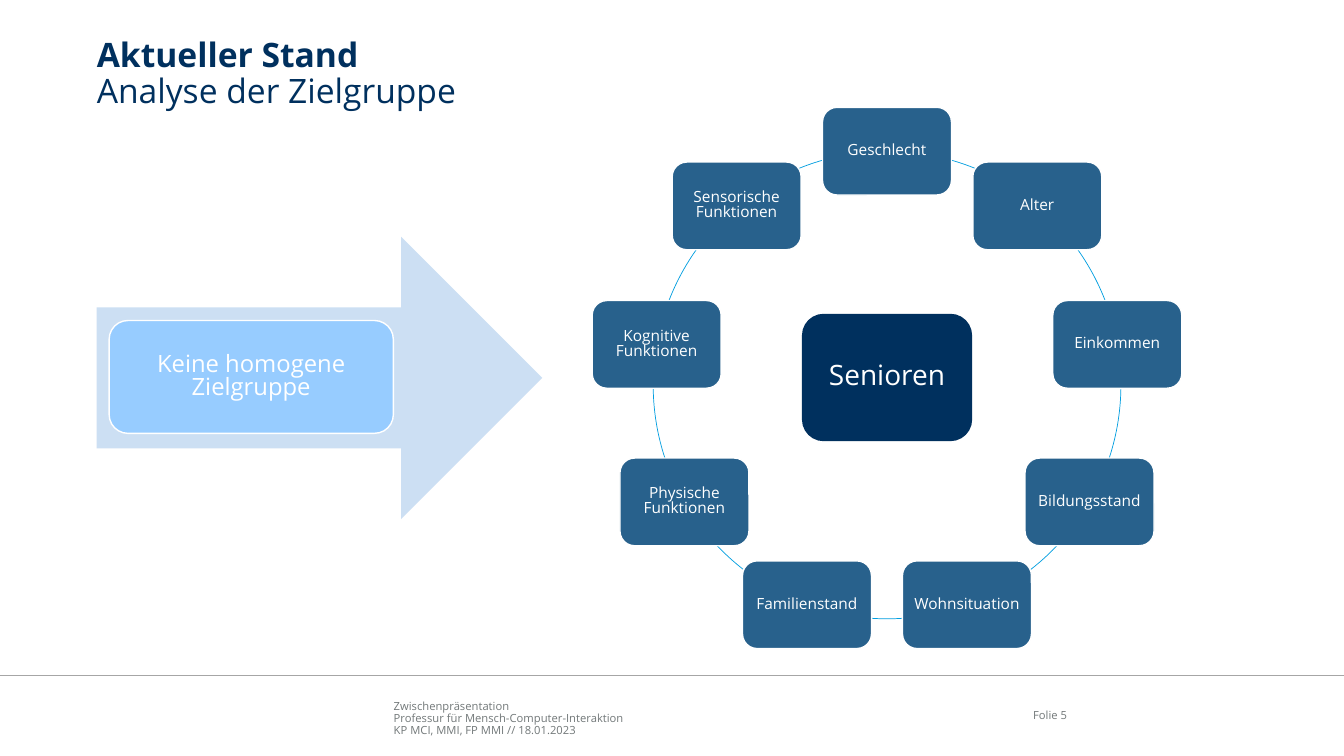
import dataclasses
import math
import typing

import lxml.etree
import pptx
import pptx.dml.color
import pptx.enum.shapes
import pptx.enum.text
import pptx.oxml.ns
import pptx.shapes.autoshape
import pptx.slide
import pptx.text.text
import pptx.util

RGBColor = pptx.dml.color.RGBColor
NAVY = RGBColor(0x00, 0x30, 0x5E)
BLUE = RGBColor(0x28, 0x61, 0x8C)
CYAN = RGBColor(0x00, 0x9E, 0xE0)
SKY = RGBColor(0x97, 0xCC, 0xFF)
PALE = RGBColor(0xCC, 0xDF, 0xF3)
GREY = RGBColor(0x72, 0x78, 0x79)
RULE = RGBColor(0xA6, 0xA6, 0xA6)
WHITE = RGBColor(0xFF, 0xFF, 0xFF)

FONT = "Open Sans"
WIDTH = pptx.util.Inches(13.33)
HEIGHT = pptx.util.Inches(7.5)
COL = WIDTH / 100
ROW = HEIGHT / 100

Kind = pptx.enum.shapes.MSO_SHAPE
Align = pptx.enum.text.PP_ALIGN
Anchor = pptx.enum.text.MSO_ANCHOR


@dataclasses.dataclass(frozen=True)
class Box:
    """A place on the grid of 100 columns and 100 rows."""
    left: float
    top: float
    width: float
    height: float

    def place(self) -> tuple[int, int, int, int]:
        return (round(self.left * COL), round(self.top * ROW),
                round(self.width * COL), round(self.height * ROW))


@dataclasses.dataclass(frozen=True)
class Block:
    box: Box
    kind: Kind
    fill: typing.Optional[RGBColor] = None
    line: typing.Optional[RGBColor] = None
    weight: float = 1
    text: str = ""
    size: float = 11


TITLE = Box(7.2, 5.07, 86.8, 10)
FOOTER = Box(29.3, 92.13, 42.5, 5.33)
NUMBER = Box(73.6, 92, 5.8, 5.33)
RULE_ROW = 89.33

MID_COL, MID_ROW = 66, 50.93
RING_COLS, RING_ROWS = 17.4, 30.93
TRAITS = (
    "Geschlecht", "Alter", "Einkommen", "Bildungsstand", "Wohnsituation",
    "Familienstand", "Physische Funktionen", "Kognitive Funktionen",
    "Sensorische Funktionen",
)
NOTES = (
    "Zwischenpräsentation",
    "Professur für Mensch-Computer-Interaktion",
    "KP MCI, MMI, FP MMI // 18.01.2023",
)


def write(para: pptx.text.text._Paragraph, text: str, *, size: float,
          color: RGBColor, bold: bool = False, align: Align = Align.LEFT,
          space: float = 0.9) -> None:
    para.alignment = align
    para.line_spacing = space
    run = para.add_run()
    run.text = text
    run.font.name = FONT
    run.font.size = pptx.util.Pt(size)
    run.font.bold = bold
    run.font.color.rgb = color


def set_frame(frame: pptx.text.text.TextFrame, anchor: Anchor,
              inset: float = 0) -> None:
    frame.word_wrap = True
    frame.auto_size = pptx.enum.text.MSO_AUTO_SIZE.NONE
    frame.vertical_anchor = anchor
    gap = pptx.util.Inches(inset)
    frame.margin_left = frame.margin_right = gap
    frame.margin_top = frame.margin_bottom = gap


def add_block(slide: pptx.slide.Slide, block: Block) -> None:
    shape = slide.shapes.add_shape(block.kind, *block.box.place())
    shape.shadow.inherit = False
    if block.fill is None:
        shape.fill.background()
    else:
        shape.fill.solid()
        shape.fill.fore_color.rgb = block.fill
    if block.line is None:
        shape.line.fill.background()
    else:
        shape.line.color.rgb = block.line
        shape.line.width = pptx.util.Pt(block.weight)
    if block.text:
        set_frame(shape.text_frame, Anchor.MIDDLE, 0.05)
        write(shape.text_frame.paragraphs[0], block.text, size=block.size,
              color=WHITE, align=Align.CENTER, space=0.8)


def ring_box(turn: float, width: float, height: float) -> Box:
    """Centre a box on the ring, a share of a turn clockwise from the top."""
    angle = math.tau * turn
    return Box(MID_COL + RING_COLS * math.sin(angle) - width / 2,
               MID_ROW - RING_ROWS * math.cos(angle) - height / 2,
               width, height)


def add_ring(slide: pptx.slide.Slide) -> None:
    ring = Box(MID_COL - RING_COLS, MID_ROW - RING_ROWS,
               2 * RING_COLS, 2 * RING_ROWS)
    add_block(slide, Block(ring, Kind.OVAL, line=CYAN, weight=0.5))
    for index, trait in enumerate(TRAITS):
        box = ring_box(index / len(TRAITS), 9.6, 11.6)
        add_block(slide, Block(box, Kind.ROUNDED_RECTANGLE, BLUE, WHITE,
                               text=trait))
    add_block(slide, Block(Box(59.72, 41.6, 12.56, 16.67),
                           Kind.ROUNDED_RECTANGLE, NAVY, NAVY,
                           text="Senioren", size=20))


def add_arrow(slide: pptx.slide.Slide) -> None:
    add_block(slide, Block(Box(7.2, 31.33, 33.15, 37.33),
                           Kind.RIGHT_ARROW, PALE))
    add_block(slide, Block(Box(8.12, 42.4, 21.15, 14.93),
                           Kind.ROUNDED_RECTANGLE, SKY, WHITE,
                           text="Keine homogene Zielgruppe", size=17))


def add_title(slide: pptx.slide.Slide) -> None:
    title = slide.shapes.title
    title.left, title.top, title.width, title.height = TITLE.place()
    set_frame(title.text_frame, Anchor.TOP)
    para = title.text_frame.paragraphs[0]
    write(para, "Aktueller Stand", size=24, color=NAVY, bold=True)
    para.add_line_break()
    write(para, "Analyse der Zielgruppe", size=24, color=NAVY)


def add_note(slide: pptx.slide.Slide, box: Box, lines: typing.Sequence[str],
             anchor: Anchor, align: Align) -> None:
    frame = slide.shapes.add_textbox(*box.place()).text_frame
    set_frame(frame, anchor)
    for index, line in enumerate(lines):
        para = frame.add_paragraph() if index else frame.paragraphs[0]
        write(para, line, size=8, color=GREY, align=align)


def add_footer(slide: pptx.slide.Slide) -> None:
    level = round(RULE_ROW * ROW)
    rule = slide.shapes.add_connector(
        pptx.enum.shapes.MSO_CONNECTOR.STRAIGHT, 0, level, WIDTH, level)
    rule.line.color.rgb = RULE
    rule.line.width = pptx.util.Pt(1)
    lxml.etree.SubElement(rule._element.spPr,
                          pptx.oxml.ns.qn("a:effectLst"))
    add_note(slide, FOOTER, NOTES, Anchor.BOTTOM, Align.LEFT)
    add_note(slide, NUMBER, ["Folie 5"], Anchor.MIDDLE, Align.RIGHT)


def main() -> None:
    deck = pptx.Presentation()
    deck.slide_width, deck.slide_height = WIDTH, HEIGHT
    slide = deck.slides.add_slide(deck.slide_layouts.get_by_name("Title Only"))
    add_footer(slide)
    add_title(slide)
    add_ring(slide)
    add_arrow(slide)
    deck.save("out.pptx")


if __name__ == "__main__":
    main()
